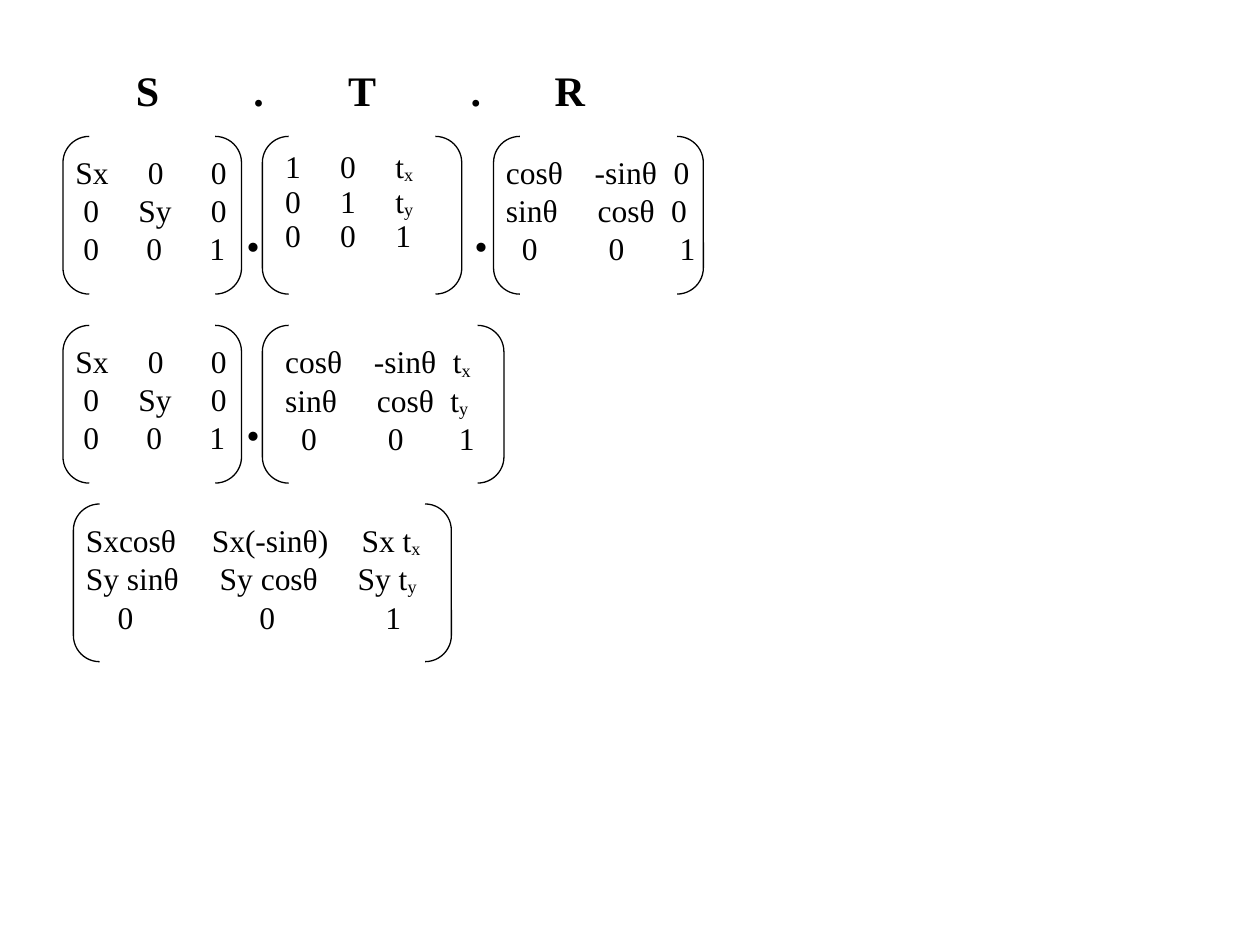
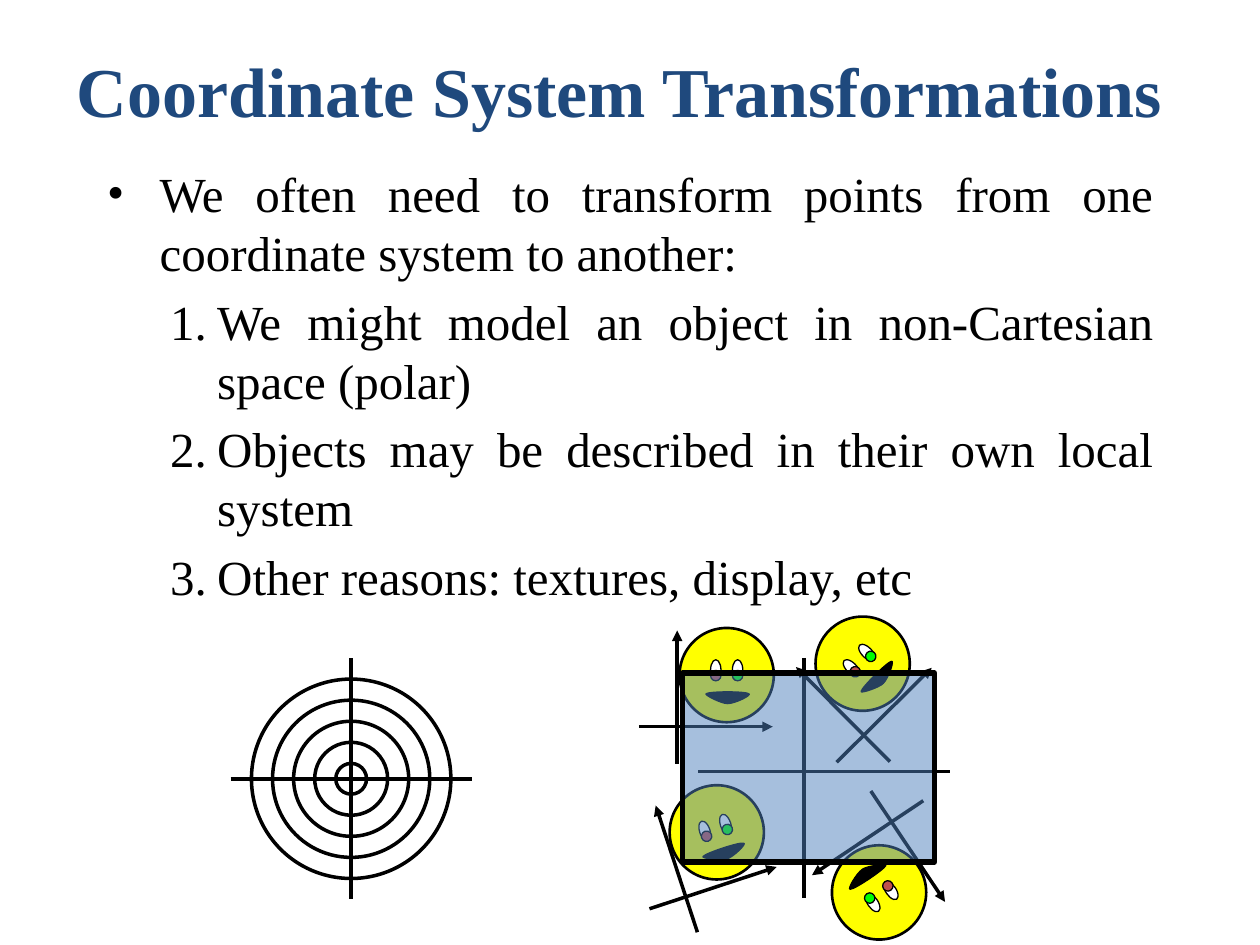
from dataclasses import dataclass
from math import cos, radians, sin

from lxml.etree import SubElement as Sub
from pptx import Presentation
from pptx.dml.color import RGBColor as Rgb
from pptx.enum.shapes import MSO_CONNECTOR as Link, MSO_SHAPE as Kind
from pptx.enum.text import MSO_ANCHOR as Anchor, PP_ALIGN as Align
from pptx.oxml.ns import qn
from pptx.util import Cm, Pt


@dataclass(frozen=True)
class Theme:
    font: str = "Times New Roman"
    ink: str = "000000"
    title: str = "1F497D"
    face: str = "FFFF00"
    white: str = "FFFFFF"
    red: str = "C0504D"
    green: str = "00FF00"
    panel: str = "4F81BD"
    cell_pt: int = 18
    head_pt: int = 24
    text_pt: int = 28
    dot_pt: int = 32
    title_pt: int = 40
    hair: float = 0.75
    rim: float = 1.5
    line: float = 2
    frame: float = 3


T = Theme()

# Matrix rows: cells, then where each cell starts; "_" opens a subscript
SCALE = [(("Sx", "0", "0"), (0, 1.46, 2.73)),
         (("0", "Sy", "0"), (0.16, 1.27, 2.73)),
         (("0", "0", "1"), (0.16, 1.43, 2.7))]
EVEN = (0, 1.11, 2.22)
SHIFT = [(("1", "0", "t_x"), EVEN), (("0", "1", "t_y"), EVEN),
         (("0", "0", "1"), EVEN)]


def turned(top, mid):
    """Rotation rows with the given last column."""
    return [(("cosθ", "-sinθ", top), (0, 1.79, 3.38)),
            (("sinθ", "cosθ", mid), (0, 1.85, 3.33)),
            (("0", "0", "1"), (0.32, 2.07, 3.5))]


ALL = [(("Sxcosθ", "Sx(-sinθ)", "Sx t_x"), (0, 2.54, 5.56)),
       (("Sy sinθ", "Sy cosθ", "Sy t_y"), (0, 2.7, 5.48)),
       (("0", "0", "1"), (0.64, 3.5, 6.04))]
HEAD = [(("S", ".", "T", ".", "R"), (0, 2.37, 4.28, 6.75, 8.44))]

# Each line: top, matrices (left, width, text shift, rows, tight), dots
LINES = [
    (2.75, [(1.27, 3.6, 0, SCALE, False),
            (5.29, 4.02, 0.21, SHIFT, True),
            (9.95, 4.23, 0, turned("0", "0"), False)], (4.72, 9.32)),
    (6.56, [(1.27, 3.6, 0, SCALE, False),
            (5.29, 4.87, 0.21, turned("t_x", "t_y"), False)], (4.72,)),
    (10.16, [(1.48, 7.62, 0, ALL, False)], ()),
]

# Second slide
TITLE = "Coordinate System Transformations"
LEAD = "We often need to transform points from one coordinate system to another:"
POINTS = ["We might model an object in non-Cartesian space (polar)",
          "Objects may be described in their own local system",
          "Other reasons: textures, display, etc"]
FACES = [(17.39, 13.38, 315.2), (14.45, 16.78, 341.8),
         (17.72, 17.99, 146.2), (14.65, 13.61, 0)]
# Parts of one face, measured from its centre
AXES = [((-1, 1.79), (-1, -0.9)), ((-1.77, 1.04), (0.93, 1.04))]
DISCS = [(0, 0, 1.9, 1.9, T.face, T.rim),
         (-0.22, -0.1, 0.21, 0.42, T.white, T.hair),
         (0.22, -0.1, 0.21, 0.42, T.white, T.hair),
         (-0.22, 0.01, 0.21, 0.21, T.red, T.hair),
         (0.22, 0.01, 0.21, 0.21, T.green, T.hair)]
SMILE_MID = (0.03, 0.45)
SMILE = [(-0.42, 0.37), (-0.47, 0.39), (-0.11, 0.57), (0.01, 0.57),
         (0.17, 0.57), (0.52, 0.39), (0.44, 0.37), (0.37, 0.32),
         (-0.34, 0.32), (-0.42, 0.37)]


# Text helpers
def write(par, text, size, bold=False, tint=T.ink, base=0):
    run = par.add_run()
    run.text = text
    font = run.font
    font.name, font.size, font.bold = T.font, Pt(size), bold
    font.color.rgb = Rgb.from_string(tint)
    if base:
        run._r.get_or_add_rPr().set("baseline", str(base * 1000))


def box(slide, *area):
    frame = slide.shapes.add_textbox(*map(Cm, area)).text_frame
    frame.word_wrap = True
    return frame


def next_par(frame, num):
    return frame.add_paragraph() if num else frame.paragraphs[0]


def grid(slide, area, rows, size, bold=False, tight=False):
    """Rows of cells, each set at its own tab stop."""
    frame = box(slide, *area)
    frame.margin_right = 0
    for num, (cells, starts) in enumerate(rows):
        par = next_par(frame, num)
        tabs = Sub(par._p.get_or_add_pPr(), qn("a:tabLst"))
        if tight:
            par.line_spacing = 0.5
            if num:
                par.space_before = Pt(size / 2)
        for cell, start in zip(cells, starts):
            main, _, low = cell.partition("_")
            if start:
                Sub(tabs, qn("a:tab"), pos=str(Cm(start)), algn="l")
                main = "\t" + main
            write(par, main, size, bold)
            if low:
                write(par, low, size, bold, base=-10)


# Shape helpers
def style(shape, fill, width):
    shape.shadow.inherit = False
    if fill:
        shape.fill.solid()
        shape.fill.fore_color.rgb = Rgb.from_string(fill)
    else:
        shape.fill.background()
    shape.line.color.rgb = Rgb.from_string(T.ink)
    shape.line.width = Pt(width)
    return shape


def draw(slide, kind, area, fill=None, width=T.line):
    return style(slide.shapes.add_shape(kind, *map(Cm, area)), fill, width)


def disc(slide, x, y, w, h, fill=None, width=T.line):
    return draw(slide, Kind.OVAL, (x - w / 2, y - h / 2, w, h), fill, width)


def rule(slide, start, end, arrow=False):
    line = slide.shapes.add_connector(Link.STRAIGHT, *map(Cm, (*start, *end)))
    line.line.color.rgb = Rgb.from_string(T.ink)
    line.line.width = Pt(T.line)
    if arrow:
        Sub(line.line._get_or_add_ln(), qn("a:tailEnd"), type="triangle")
    Sub(line._element.spPr, qn("a:effectLst"))


def smile(slide, mid, angle):
    """A mouth of three cubic curves, centred on mid."""
    dots = [(Cm(x), Cm(y)) for x, y in SMILE]
    pen = slide.shapes.build_freeform(*dots[0])
    pen.add_line_segments(dots[1:], close=True)
    mouth = style(pen.convert_to_shape(), T.ink, T.hair)
    # Join each three line ends into one curve
    legs = list(mouth._element.iter(qn("a:lnTo")))
    for at in range(0, len(legs), 3):
        bend = legs[at]
        bend.tag = qn("a:cubicBezTo")
        for leg in legs[at + 1:at + 3]:
            bend.append(leg[0])
            leg.getparent().remove(leg)
    mouth.left = Cm(mid[0]) - mouth.width // 2
    mouth.top = Cm(mid[1]) - mouth.height // 2
    mouth.rotation = angle


def face(slide, mid_x, mid_y, angle):
    """A smiley with its own axes, turned as one."""
    c, s = cos(radians(angle)), sin(radians(angle))

    def place(x, y):
        return mid_x + x * c - y * s, mid_y + x * s + y * c

    for start, end in AXES:
        rule(slide, place(*start), place(*end), arrow=True)
    for num, (x, y, *look) in enumerate(DISCS):
        disc(slide, *place(x, y), *look).rotation = angle
        if num == 0:
            smile(slide, place(*SMILE_MID), angle)


# Slides
def matrix_slide(slide):
    grid(slide, (2.49, 1.17, 9.58, 1.27), HEAD, T.head_pt, bold=True)
    for top, parts, dots in LINES:
        for left, width, shift, rows, tight in parts:
            draw(slide, Kind.DOUBLE_BRACKET, (left, top, width, 3.18), width=T.hair)
            drop, high = (0.41, 2.18) if tight else (0.22, 2.54)
            grid(slide, (left + shift, top + drop, width, high), rows,
                 T.cell_pt, tight=tight)
        for left in dots:
            frame = box(slide, left, top + 1.06, 0.99, 1.6)
            write(frame.paragraphs[0], ".", T.dot_pt, bold=True)


def system_slide(slide):
    # Title and list
    frame = box(slide, 0.64, 0.85, 23.7, 1.9)
    frame.vertical_anchor = Anchor.MIDDLE
    frame.paragraphs[0].alignment = Align.CENTER
    write(frame.paragraphs[0], TITLE, T.title_pt, bold=True, tint=T.title)

    frame = box(slide, 1.91, 3.18, 21.59, 5.08)
    for num, text in enumerate([LEAD, *POINTS]):
        par = next_par(frame, num)
        props = par._p.get_or_add_pPr()
        left, hang = (2.22, 0.95) if num else (1.06, 1.06)
        props.set("marL", str(Cm(left)))
        props.set("indent", str(-Cm(hang)))
        Sub(props, qn("a:buFont"), typeface=T.font)
        if num:
            Sub(props, qn("a:buAutoNum"), type="arabicPeriod")
            par.level = 1
            par.space_before = Pt(T.text_pt / 5)
        else:
            Sub(props, qn("a:buChar"), char="•")
        par.alignment = Align.JUSTIFY
        write(par, text, T.text_pt)

    # World axes
    rule(slide, (16.21, 13.26), (16.21, 18.11))
    rule(slide, (14.08, 15.55), (19.16, 15.55))

    # Polar rings
    x, y, arm = 7.08, 15.7, 2.43
    for ring in range(5):
        size = 4.02 - 0.85 * ring
        disc(slide, x, y, size, size)
    rule(slide, (x, y - arm), (x, y + arm))
    rule(slide, (x - arm, y), (x + arm, y))

    # Faces under a clear panel
    for spot in FACES:
        face(slide, *spot)
    panel = draw(slide, Kind.RECTANGLE, (13.76, 13.57, 5.08, 3.81), T.panel, T.frame)
    tint = panel._element.spPr.find(qn("a:solidFill"))[0]
    Sub(tint, qn("a:alpha"), val="50000")


def main():
    deck = Presentation()
    deck.slide_width, deck.slide_height = Cm(25.4), Cm(19.05)
    for fill_in in (matrix_slide, system_slide):
        fill_in(deck.slides.add_slide(deck.slide_layouts[6]))
    deck.save("out.pptx")


if __name__ == "__main__":
    main()
